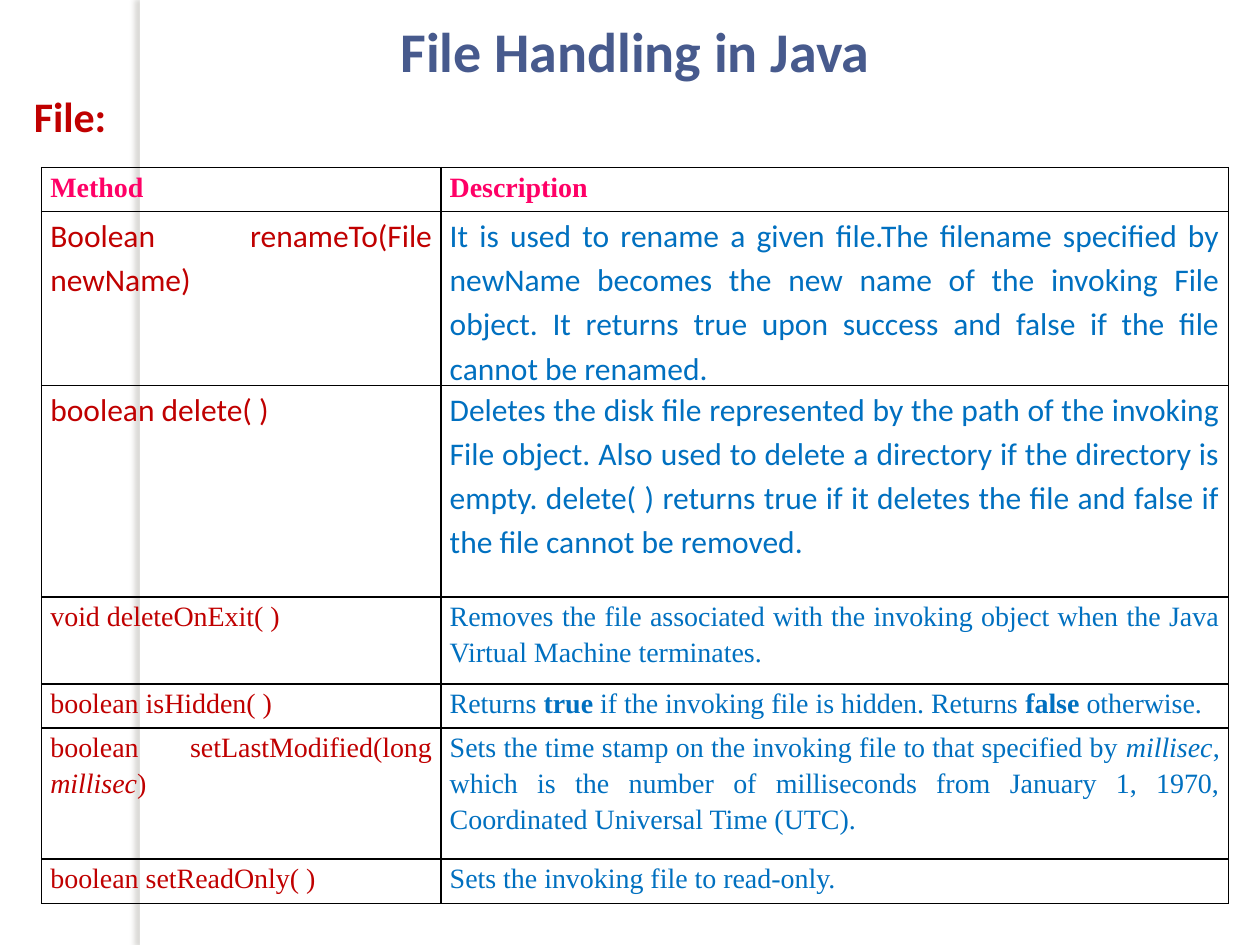
"""Build the slide on Java file handling methods."""
from lxml import etree
from pptx import Presentation, util as u
from pptx.dml.color import RGBColor
from pptx.enum import shapes, text
from pptx.oxml import ns

SANS, SERIF = "Calibri", "Times New Roman"
PINK, RED, BLUE = "FF0066", "C00000", "0070C0"
COLUMNS = (3.17, 6.25)
ROWS = [
    (0.35, SERIF, "bold", "|Method|", "|Description|"),
    (1.38, SANS, "bold", "Boolean renameTo(File newName)",
     "It is used to rename a given file.The filename specified by newName becomes the new "
     "name of the invoking File object. It returns true upon success and false if the file "
     "cannot be renamed."),
    (1.68, SANS, "bold", "boolean delete( )",
     "Deletes the disk file represented by the path of the invoking File object. Also used "
     "to delete a directory if the directory is empty. delete( ) returns true if it deletes "
     "the file and false if the file cannot be removed."),
    (0.69, SERIF, "bold", "void deleteOnExit( )",
     "Removes the file associated with the invoking object when the Java Virtual Machine "
     "terminates."),
    (0.35, SERIF, "bold", "boolean isHidden( )",
     "Returns |true |if the invoking file is hidden. Returns |false |otherwise."),
    (1.04, SERIF, "italic", "boolean setLastModified(long |millisec|)",
     "Sets the time stamp on the invoking file to that specified by |millisec|, which is the "
     "number of milliseconds from January 1, 1970, Coordinated Universal Time (UTC)."),
    (0.35, SERIF, "bold", "boolean setReadOnly( )", "Sets the invoking file to read-only."),
]


def add_xml(parent, tag, **attributes):
    return etree.SubElement(parent, ns.qn(tag), attributes)


def set_font(font, name, size, colour):
    font.name, font.size = name, u.Pt(size)
    font.color.rgb = RGBColor.from_string(colour)


deck = Presentation()
deck.slide_width, deck.slide_height = u.Inches(10), u.Inches(7.5)
page = deck.slides.add_slide(deck.slide_layouts[6])

strip = page.shapes.add_shape(
    shapes.MSO_SHAPE.RECTANGLE, u.Inches(1.11), 0, u.Inches(0.08), deck.slide_height)
strip.fill.solid()
strip.fill.fore_color.rgb = RGBColor.from_string("FFFFFF")
strip.line.fill.background()
effects = add_xml(strip._element.spPr, "a:effectLst")
shadow = add_xml(effects, "a:outerShdw", blurRad=str(u.Pt(3)), dist=str(u.Pt(3)),
                 dir="10800000", algn="tl", rotWithShape="0")
shade = add_xml(shadow, "a:srgbClr", val="736F63")
add_xml(shade, "a:alpha", val="25000")

for words, place, size, colour in [
    ("File Handling in Java", (3.08, 0.08, 7.58, 0.64), 32, "475A8D"),
    ("File:", (0.17, 0.67, 9.67, 0.5), 24, RED),
]:
    box = page.shapes.add_textbox(*map(u.Inches, place))
    box.text_frame.word_wrap = True
    box.text_frame.auto_size = text.MSO_AUTO_SIZE.SHAPE_TO_FIT_TEXT
    para = box.text_frame.paragraphs[0]
    para.text = words
    para.font.bold = True
    set_font(para.font, SANS, size, colour)

table = page.shapes.add_table(
    len(ROWS), len(COLUMNS), u.Inches(0.33), u.Inches(1.33),
    u.Inches(sum(COLUMNS)), u.Inches(sum(row[0] for row in ROWS))).table
table.first_row = table.horz_banding = False
for column, width in zip(table.columns, COLUMNS):
    column.width = u.Inches(width)

for row_index, (height, font_name, emphasis, *contents) in enumerate(ROWS):
    table.rows[row_index].height = u.Inches(height)
    for column_index, content in enumerate(contents):
        cell = table.cell(row_index, column_index)
        cell.margin_left = cell.margin_right = u.Inches(0.07)
        cell.margin_top = cell.margin_bottom = 0
        properties = cell._tc.get_or_add_tcPr()
        for side in "LRTB":
            border = add_xml(properties, f"a:ln{side}", w=str(u.Pt(1)))
            add_xml(add_xml(border, "a:solidFill"), "a:srgbClr", val="000000")
        cell.fill.background()
        para = cell.text_frame.paragraphs[0]
        para.alignment = text.PP_ALIGN.JUSTIFY
        para.line_spacing = 1.15
        colour = (RED, BLUE)[column_index] if row_index else PINK
        set_font(para.font, font_name, 18 if font_name == SANS else 16, colour)
        for part_index, part in enumerate(content.split("|")):
            if part:
                span = para.add_run()
                span.text = part
                if part_index % 2:
                    setattr(span.font, emphasis, True)

deck.save("out.pptx")
